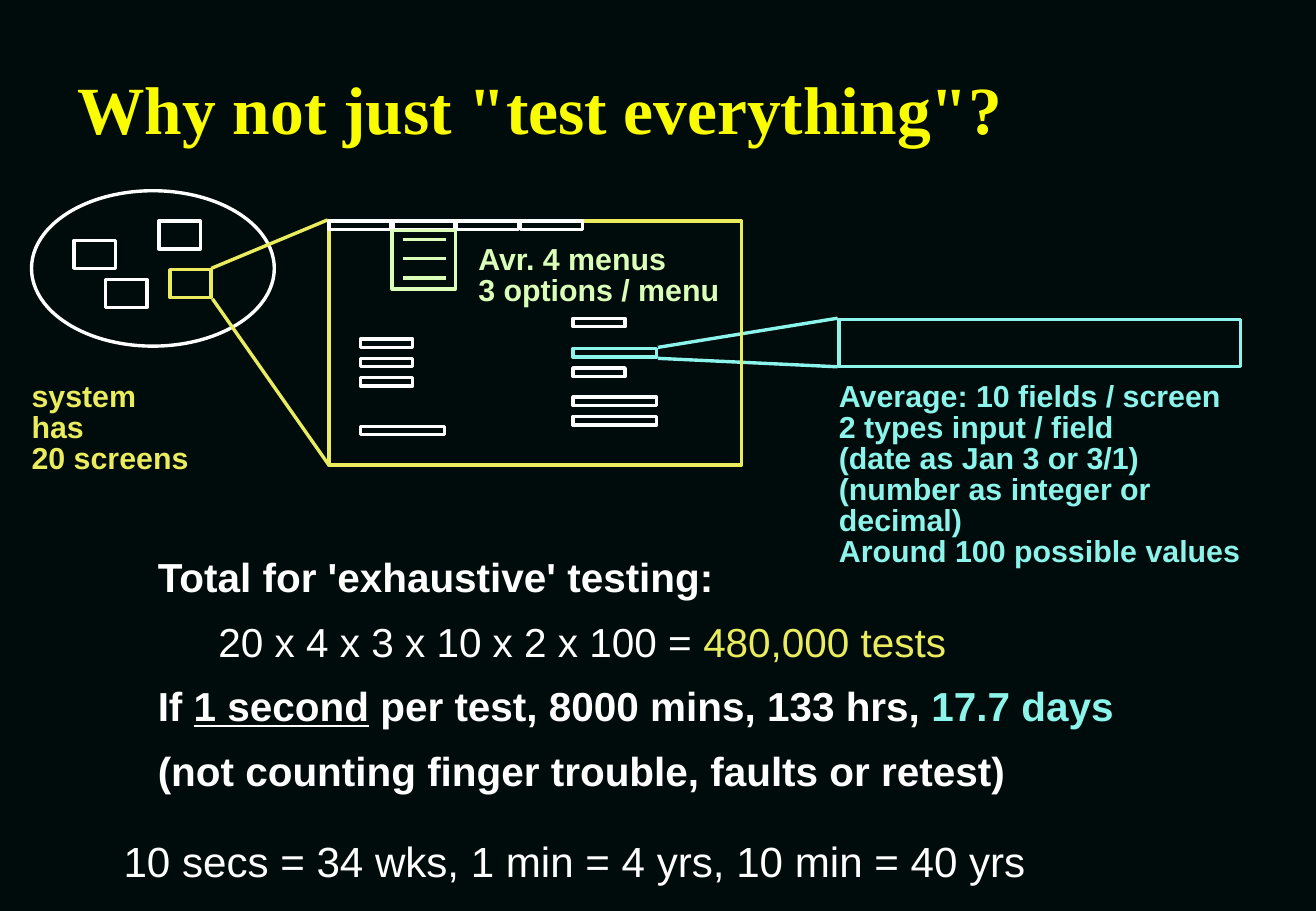
from pptx import Presentation
from pptx import util as u
from pptx.dml import color
from pptx.enum import shapes, text
from pptx.oxml import ns
from lxml import etree

HUES = {
    "night": "000C0B",
    "title": "FAFD00",
    "white": "FFFFFF",
    "gold": "EAEC5E",
    "aqua": "8CF4EA",
    "lime": "DBFFB8",
}
RECT = shapes.MSO_SHAPE.RECTANGLE
OVAL = shapes.MSO_SHAPE.OVAL

deck = Presentation()
deck.slide_width = u.Inches(10.84)
deck.slide_height = u.Inches(7.5)
slide = deck.slides.add_slide(deck.slide_layouts[6])
slide.background.fill.solid()
slide.background.fill.fore_color.rgb = color.RGBColor.from_string(HUES["night"])


def write(area, lines, size=18, hue="white", font="Arial", bold=True,
          lead=0.85, gap=0, inset=(0.07, 0.03), wrap=False, middle=False):
    frame = slide.shapes.add_textbox(*map(u.Inches, area)).text_frame
    frame.word_wrap = wrap
    frame.margin_left = frame.margin_right = u.Inches(inset[0])
    frame.margin_top = frame.margin_bottom = u.Inches(inset[1])
    if middle:
        frame.vertical_anchor = text.MSO_ANCHOR.MIDDLE
    for i, line in enumerate(lines):
        para = frame.paragraphs[0] if i == 0 else frame.add_paragraph()
        para.line_spacing = lead
        para.space_before = u.Pt(gap)
        for part in [(line, {})] if isinstance(line, str) else line:
            words, look = part
            run = para.add_run()
            run.text = words
            run.font.name = font
            run.font.size = u.Pt(size)
            run.font.bold = look.get("bold", bold)
            run.font.underline = look.get("under", False)
            shade = HUES[look.get("hue", hue)]
            run.font.color.rgb = color.RGBColor.from_string(shade)
    return frame


def draw(kind, area, hue="white"):
    if kind is None:
        item = slide.shapes.add_connector(
            shapes.MSO_CONNECTOR.STRAIGHT, *map(u.Inches, area))
        props = item._element.spPr
        etree.SubElement(props, ns.qn("a:effectLst"))
    else:
        item = slide.shapes.add_shape(kind, *map(u.Inches, area))
        item.shadow.inherit = False
        item.fill.background()
    item.line.color.rgb = color.RGBColor.from_string(HUES[hue])
    item.line.width = u.Pt(2)


write((0.54, 0.58, 9.21, 0.67), ['Why not just "test everything"?'], size=40,
      hue="title", font="Times New Roman", lead=0.98, inset=(0.1, 0.05),
      wrap=True, middle=True)

for left, top, hue in [(0.61, 1.98, "white"), (0.87, 2.3, "white"),
                       (1.4, 2.22, "gold"), (1.31, 1.82, "white")]:
    draw(RECT, (left, top, 0.34, 0.23), hue)
draw(OVAL, (0.26, 1.57, 2, 1.28))
write((0.19, 3.12, 1.5, 0.57), ["system has", "20 screens"], hue="gold")

draw(RECT, (6.91, 2.63, 3.31, 0.39), "aqua")
draw(None, (5.42, 2.86, 6.9, 2.62), "aqua")
draw(None, (5.42, 2.95, 6.9, 3.02), "aqua")
write((6.84, 3.12, 3.79, 1.33), [
    "Average: 10 fields / screen",
    "2 types input / field",
    "(date as Jan 3 or 3/1)",
    "(number as integer or decimal)",
    "Around 100 possible values",
], hue="aqua")

total = write((1.23, 4.57, 9.6, 2), [
    "Total for 'exhaustive' testing:",
    [("20 x 4 x 3 x 10 x 2 x 100 = ", {"bold": False}),
     ("480,000 tests", {"bold": False, "hue": "gold"})],
    [("If ", {}), ("1 second", {"under": True}),
     (" per test, 8000 mins, 133 hrs, ", {}),
     ("17.7 days", {"hue": "aqua"})],
    "(not counting finger trouble, faults or retest)",
], size=24, lead=0.88, gap=12.9, wrap=True)
total.paragraphs[1]._p.get_or_add_pPr().set("marL", str(u.Inches(0.5)))

draw(None, (1.74, 2.21, 2.7, 1.81), "gold")
draw(None, (1.75, 2.46, 2.71, 3.83), "gold")
draw(RECT, (2.71, 1.82, 3.4, 2.01), "gold")
for i in range(4):
    draw(RECT, (2.71 + i * 0.526, 1.82, 0.51, 0.07))
draw(RECT, (3.23, 1.9, 0.52, 0.48), "lime")
for i in range(3):
    rule = 1.97 + i * 0.16
    draw(None, (3.32, rule, 3.67, rule), "lime")

for left, width, tops in [(2.97, 0.43, (2.79, 2.95, 3.11)),
                          (4.72, 0.43, (2.62, 3.03)),
                          (2.97, 0.69, (3.51,)),
                          (4.72, 0.69, (3.27, 3.43))]:
    for top in tops:
        draw(RECT, (left, top, width, 0.07))
draw(RECT, (4.72, 2.87, 0.69, 0.07), "aqua")
write((3.87, 1.99, 2.13, 0.57), ["Avr. 4 menus", "3 options / menu"], hue="lime")

write((0.92, 6.83, 7.63, 0.52),
      ["10 secs = 34 wks, 1 min = 4 yrs, 10 min = 40 yrs"],
      size=25, bold=False, lead=1.0, inset=(0.1, 0.05))

deck.save("out.pptx")
